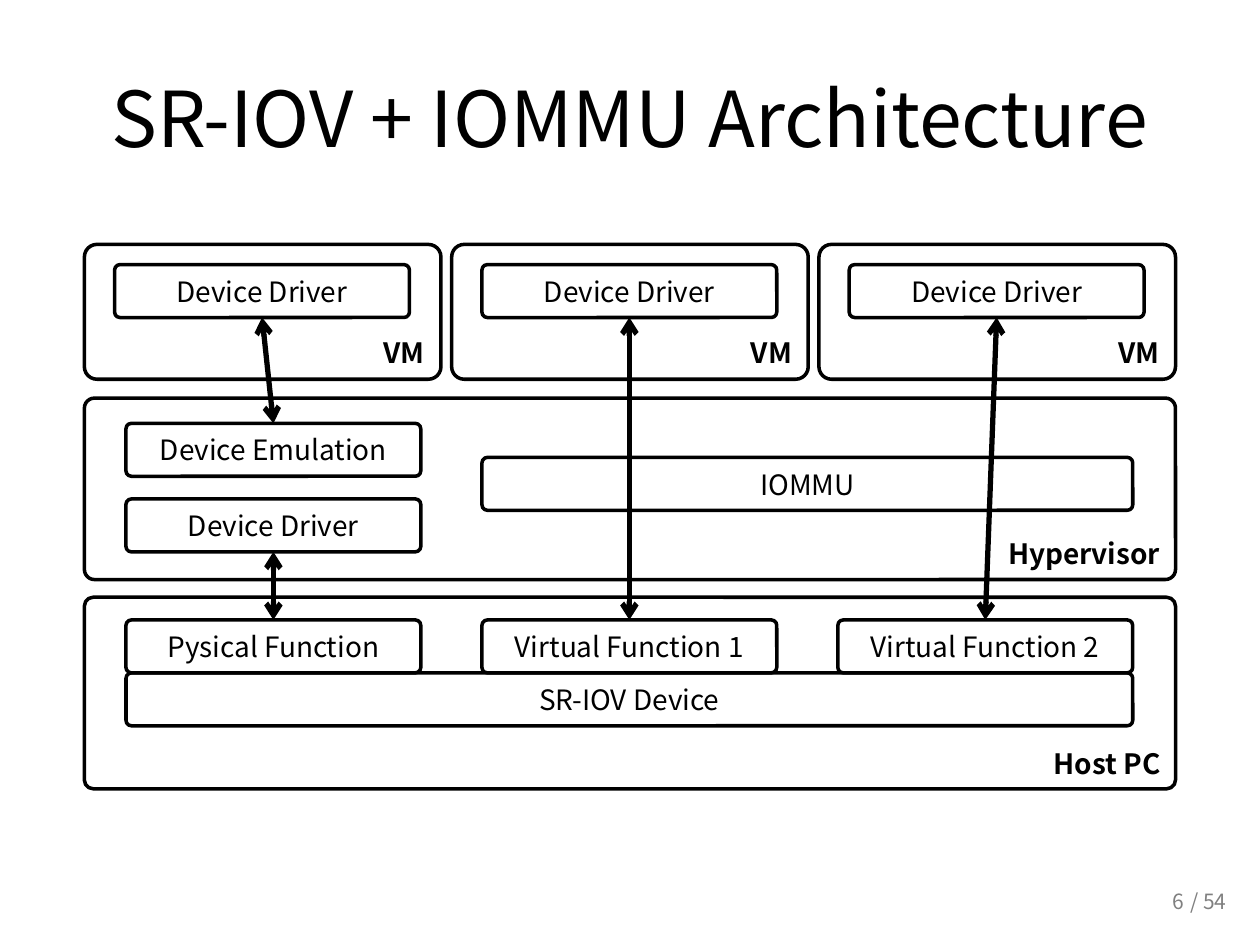
from dataclasses import dataclass

from lxml import etree
from pptx import Presentation
from pptx import util as u
from pptx.dml.color import RGBColor
from pptx.enum import shapes, text
from pptx.oxml import ns

FONT = "Noto Sans CJK KR"
BLACK, WHITE, GRAY = "000000", "FFFFFF", "808080"

# Grid in inches: three VM columns above three function columns
FRAME_LEFT, FRAME_WIDTH = 0.67, 8.66
VM_WIDTH = 2.83
VM_PITCH = (FRAME_WIDTH - VM_WIDTH) / 2
DRIVER_LEFT = 0.91
BLOCK_LEFT, BLOCK_WIDTH, BLOCK_HEIGHT = 1, 2.34, 0.42
BLOCK_PITCH = 2.825
TOP_SITE, BOTTOM_SITE = 0, 2


@dataclass(frozen=True)
class Box:
    label: str
    left: float
    top: float
    width: float = BLOCK_WIDTH
    height: float = BLOCK_HEIGHT
    radius: float = 0.043
    is_layer: bool = False


def color(value: str) -> RGBColor:
    return RGBColor.from_string(value)


def layer(label: str, left: float, top: float, width: float, height: float, radius: float) -> Box:
    return Box(label, left, top, width, height, radius, is_layer=True)


def block(label: str, column: int, top: float, span: int = 1) -> Box:
    width = BLOCK_WIDTH + (span - 1) * BLOCK_PITCH
    return Box(label, BLOCK_LEFT + column * BLOCK_PITCH, top, width)


def write(frame, content: str, size: float, font_color: str, align, anchor, bold: bool = False) -> None:
    frame.word_wrap = True
    frame.vertical_anchor = anchor
    paragraph = frame.paragraphs[0]
    paragraph.alignment = align
    run = paragraph.add_run()
    run.text = content
    run.font.name = FONT
    run.font.size = u.Pt(size)
    run.font.bold = bold
    run.font.color.rgb = color(font_color)


def draw_box(slide, box: Box):
    bounds = map(u.Inches, (box.left, box.top, box.width, box.height))
    shape = slide.shapes.add_shape(shapes.MSO_SHAPE.ROUNDED_RECTANGLE, *bounds)
    shape.adjustments[0] = box.radius / box.height
    shape.shadow.inherit = False
    shape.fill.solid()
    shape.fill.fore_color.rgb = color(WHITE)
    shape.line.color.rgb = color(BLACK)
    shape.line.width = u.Pt(2)
    align = text.PP_ALIGN.RIGHT if box.is_layer else text.PP_ALIGN.CENTER
    anchor = text.MSO_ANCHOR.BOTTOM if box.is_layer else text.MSO_ANCHOR.MIDDLE
    write(shape.text_frame, box.label, 16, BLACK, align, anchor, bold=box.is_layer)
    return shape


def draw_arrow(slide, upper, lower) -> None:
    """Join the bottom of one shape to the top of another, with two heads."""
    arrow = slide.shapes.add_connector(shapes.MSO_CONNECTOR.STRAIGHT, 0, 0, 0, 0)
    arrow.begin_connect(upper, BOTTOM_SITE)
    arrow.end_connect(lower, TOP_SITE)
    arrow.line.color.rgb = color(BLACK)
    arrow.line.width = u.Pt(3)
    line = arrow.line._get_or_add_ln()
    for end in ("a:headEnd", "a:tailEnd"):
        etree.SubElement(line, ns.qn(end), type="arrow")
    etree.SubElement(arrow._element.spPr, ns.qn("a:effectLst"))


def draw_title(slide) -> None:
    title = slide.shapes.title
    title.left, title.top = u.Inches(0.5), u.Inches(0.3)
    title.width, title.height = u.Inches(9), u.Inches(1.25)
    write(title.text_frame, "SR-IOV + IOMMU Architecture", 44, BLACK,
          text.PP_ALIGN.CENTER, text.MSO_ANCHOR.MIDDLE)


def draw_page_number(slide) -> None:
    number = slide.shapes.add_textbox(*map(u.Inches, (7.17, 6.95, 2.33, 0.4)))
    write(number.text_frame, "6", 12, GRAY, text.PP_ALIGN.RIGHT, text.MSO_ANCHOR.MIDDLE)
    total = slide.shapes.add_textbox(*map(u.Inches, (9.35, 7, 0.94, 0.3)))
    write(total.text_frame, "/ 54", 12, GRAY, text.PP_ALIGN.LEFT, text.MSO_ANCHOR.TOP)


def draw_architecture(slide) -> None:
    draw_box(slide, layer("Host PC", FRAME_LEFT, 4.74, FRAME_WIDTH, 1.52, 0.07))
    draw_box(slide, block("SR-IOV Device", 0, 4.92 + BLOCK_HEIGHT, span=3))
    names = ("Pysical Function", "Virtual Function 1", "Virtual Function 2")
    functions = [draw_box(slide, block(name, column, 4.92)) for column, name in enumerate(names)]

    draw_box(slide, layer("Hypervisor", FRAME_LEFT, 3.16, FRAME_WIDTH, 1.44, 0.08))
    host_driver = draw_box(slide, block("Device Driver", 0, 3.96))
    emulation = draw_box(slide, block("Device Emulation", 0, 3.36))
    draw_box(slide, block("IOMMU", 1, 3.63, span=2))

    drivers = []
    for column in range(3):
        offset = column * VM_PITCH
        draw_box(slide, layer("VM", FRAME_LEFT + offset, 1.94, VM_WIDTH, 1.07, 0.1))
        drivers.append(draw_box(slide, Box("Device Driver", DRIVER_LEFT + offset, 2.1)))

    uppers = [host_driver, *drivers]
    lowers = [functions[0], emulation, *functions[1:]]
    for upper, lower in zip(uppers, lowers):
        draw_arrow(slide, upper, lower)


def main() -> None:
    presentation = Presentation()
    presentation.slide_width, presentation.slide_height = u.Inches(10), u.Inches(7.5)
    slide = presentation.slides.add_slide(presentation.slide_layouts[5])
    slide.background.fill.solid()
    slide.background.fill.fore_color.rgb = color(WHITE)
    draw_title(slide)
    draw_architecture(slide)
    draw_page_number(slide)
    presentation.save("out.pptx")


if __name__ == "__main__":
    main()
